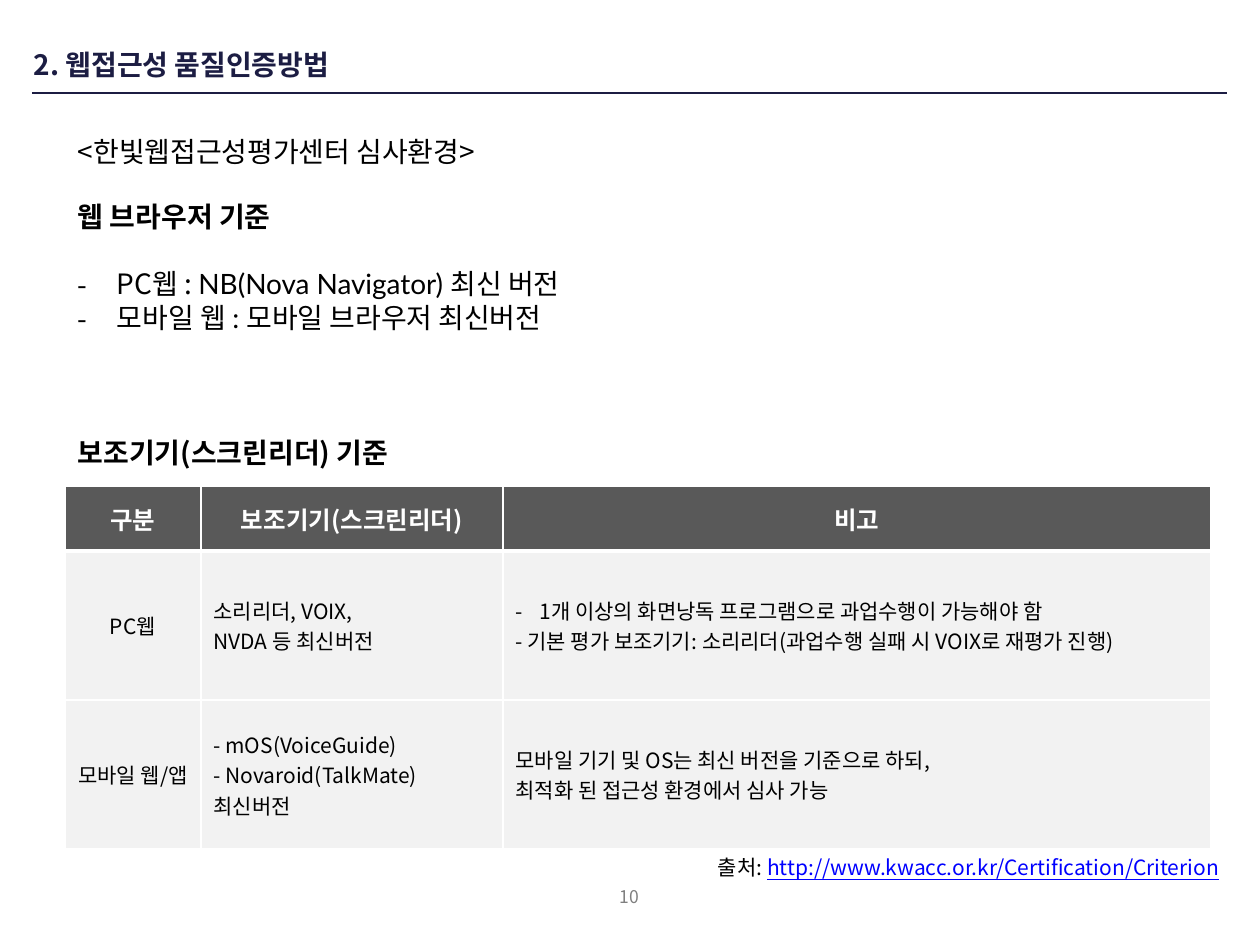
from lxml.etree import SubElement
from pptx import Presentation
from pptx.dml.color import RGBColor
from pptx.enum.shapes import MSO_CONNECTOR
from pptx.enum.text import MSO_ANCHOR, PP_ALIGN
from pptx.oxml.ns import qn
from pptx.util import Pt

EMU_PER_PX = 914400 / 126
KOREAN_FONT = "Noto Sans CJK KR"
LATIN_FONT = "Lato"
NAVY = RGBColor(0x1C, 0x1D, 0x43)
BLACK = RGBColor(0, 0, 0)
WHITE = RGBColor(0xFF, 0xFF, 0xFF)
GRAY = RGBColor(0x80, 0x80, 0x80)
LINK_BLUE = RGBColor(0, 0, 0xFF)
HEADER_FILL = RGBColor(0x59, 0x59, 0x59)
BODY_FILL = RGBColor(0xF2, 0xF2, 0xF2)

COLUMN_WIDTHS = [136, 302, 708]
ROW_HEIGHTS = [65, 149, 149]
TABLE_ROWS = [
    [["구분"], ["보조기기(스크린리더)"], ["비고"]],
    [
        ["PC웹"],
        ["소리리더, VOIX,", "NVDA 등 최신버전"],
        ["1개 이상의 화면낭독 프로그램으로 과업수행이 가능해야 함",
         "- 기본 평가 보조기기: 소리리더(과업수행 실패 시 VOIX로 재평가 진행)"],
    ],
    [
        ["모바일 웹/앱"],
        ["- mOS(VoiceGuide)", "- Novaroid(TalkMate) 최신버전"],
        ["모바일 기기 및 OS는 최신 버전을 기준으로 하되,",
         "최적화 된 접근성 환경에서 심사 가능"],
    ],
]
BULLETED_CELL = (1, 2)


def px(length):
    return round(length * EMU_PER_PX)


def add_text(paragraph, text, size=16, color=BLACK, bold=False, font=KOREAN_FONT,
             underline=False):
    run = paragraph.add_run()
    run.text = text
    run.font.size = Pt(size)
    run.font.bold = bold
    run.font.underline = underline
    run.font.color.rgb = color
    run.font.name = font
    SubElement(run.font._element, qn("a:ea"), typeface=KOREAN_FONT)


def add_dash(paragraph, indent):
    properties = paragraph._p.get_or_add_pPr()
    properties.set("marL", str(px(indent)))
    properties.set("indent", str(-px(indent)))
    SubElement(properties, qn("a:buFont"), typeface=KOREAN_FONT)
    SubElement(properties, qn("a:buChar"), char="-")


def add_box(slide, left, top, width, height, wrap=True, insets=(13, 6)):
    box = slide.shapes.add_textbox(px(left), px(top), px(width), px(height))
    frame = box.text_frame
    frame.word_wrap = wrap
    frame.margin_left = frame.margin_right = px(insets[0])
    frame.margin_top = frame.margin_bottom = px(insets[1])
    return frame


def next_paragraph(frame, size=16, space_before=0):
    """Use the empty first paragraph, or add one, with lines 1.2 times the text size."""
    first = frame.paragraphs[0]
    paragraph = frame.add_paragraph() if first.runs else first
    paragraph.line_spacing = Pt(size * 1.2)
    if space_before:
        paragraph.space_before = Pt(space_before)
    return paragraph


def add_rule(slide, left, right, top):
    rule = slide.shapes.add_connector(
        MSO_CONNECTOR.STRAIGHT, px(left), px(top), px(right), px(top))
    rule.line.color.rgb = NAVY
    rule.line.width = Pt(0.75)
    SubElement(rule._element.spPr, qn("a:effectLst"))


def set_borders(cell, **widths):
    """Draw white borders; they go before the fill, so call this first."""
    properties = cell._tc.get_or_add_tcPr()
    for side, width in widths.items():
        line = SubElement(properties, qn(f"a:ln{side}"), w=str(Pt(width)))
        fill = SubElement(line, qn("a:solidFill"))
        SubElement(fill, qn("a:srgbClr"), val=str(WHITE))


def fill_cell(cell, lines, is_header, centered, bulleted):
    set_borders(cell, L=1, R=1, T=1, B=3 if is_header else 1)
    cell.fill.solid()
    cell.fill.fore_color.rgb = HEADER_FILL if is_header else BODY_FILL
    cell.vertical_anchor = MSO_ANCHOR.MIDDLE
    frame = cell.text_frame
    for index, line in enumerate(lines):
        paragraph = frame.add_paragraph() if index else frame.paragraphs[0]
        paragraph.alignment = PP_ALIGN.CENTER if centered else PP_ALIGN.LEFT
        if bulleted and index == 0:
            add_dash(paragraph, 24)
        add_text(paragraph, line, size=14 if is_header else 12, bold=is_header,
                 color=WHITE if is_header else BLACK)


def add_reader_table(slide):
    table = slide.shapes.add_table(
        len(ROW_HEIGHTS), len(COLUMN_WIDTHS), px(65), px(486),
        px(sum(COLUMN_WIDTHS)), px(sum(ROW_HEIGHTS))).table
    table.horz_banding = False
    for column, width in zip(table.columns, COLUMN_WIDTHS):
        column.width = px(width)
    for row, height in zip(table.rows, ROW_HEIGHTS):
        row.height = px(height)
    for row, cells in enumerate(TABLE_ROWS):
        for column, lines in enumerate(cells):
            fill_cell(table.cell(row, column), lines, is_header=row == 0,
                      centered=row == 0 or column == 0,
                      bulleted=(row, column) == BULLETED_CELL)


def add_criteria(slide):
    frame = add_box(slide, 65, 194, 534, 285, wrap=False)
    add_text(next_paragraph(frame), "웹 브라우저 기준", bold=True)
    pc_web = next_paragraph(frame, space_before=19)
    add_dash(pc_web, 39)
    add_text(pc_web, "PC웹 : ")
    add_text(pc_web, "NB(Nova Navigator) 최신 버전", font=LATIN_FONT)
    mobile_web = next_paragraph(frame)
    add_dash(mobile_web, 39)
    add_text(mobile_web, "모바일 웹 : 모바일 브라우저 최신버전", font=LATIN_FONT)
    add_text(next_paragraph(frame, space_before=58), "보조기기(스크린리더) 기준", bold=True)


def main():
    presentation = Presentation()
    presentation.slide_width = px(1260)
    presentation.slide_height = px(945)
    slide = presentation.slides.add_slide(presentation.slide_layouts[6])

    add_rule(slide, 32, 1227, 93)
    page_number = next_paragraph(add_box(slide, 606, 881, 47, 30, insets=(10, 5)), size=10)
    page_number.alignment = PP_ALIGN.CENTER
    add_text(page_number, "10", size=10, color=GRAY)

    title = add_box(slide, 34, 37, 1086, 55, insets=(0, 0))
    title.vertical_anchor = MSO_ANCHOR.MIDDLE
    add_text(next_paragraph(title), "2. 웹접근성 품질인증방법", color=NAVY, bold=True)

    environment = add_box(slide, 65, 129, 641, 47)
    add_text(next_paragraph(environment), "<한빛웹접근성평가센터 심사환경>")
    add_criteria(slide)
    add_reader_table(slide)

    source = next_paragraph(add_box(slide, 705, 849, 542, 38), size=12)
    add_text(source, "출처: ", size=12)
    add_text(source, "http://www.kwacc.or.kr/Certification/Criterion", size=12,
             color=LINK_BLUE, underline=True)
    presentation.save("out.pptx")


if __name__ == "__main__":
    main()
